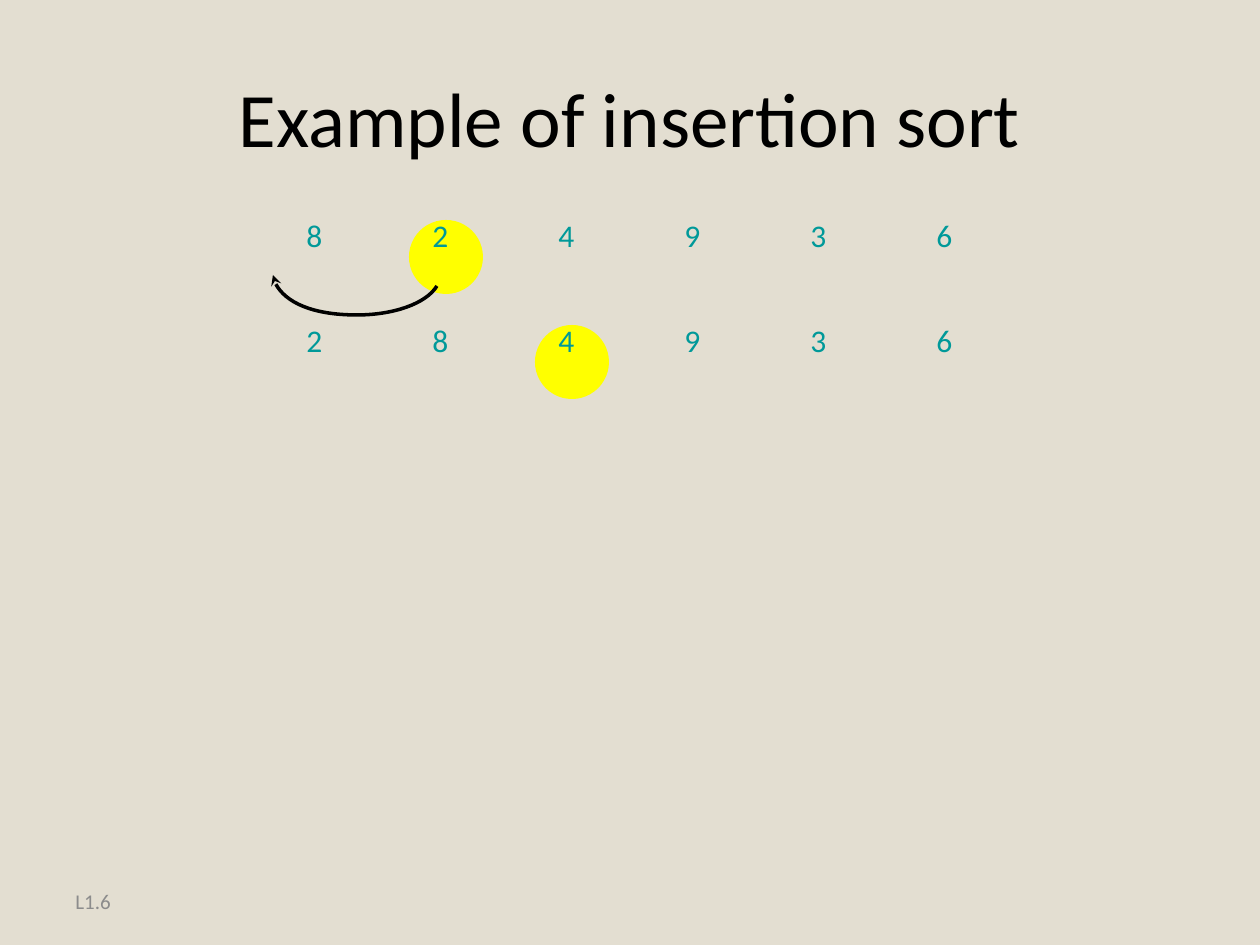
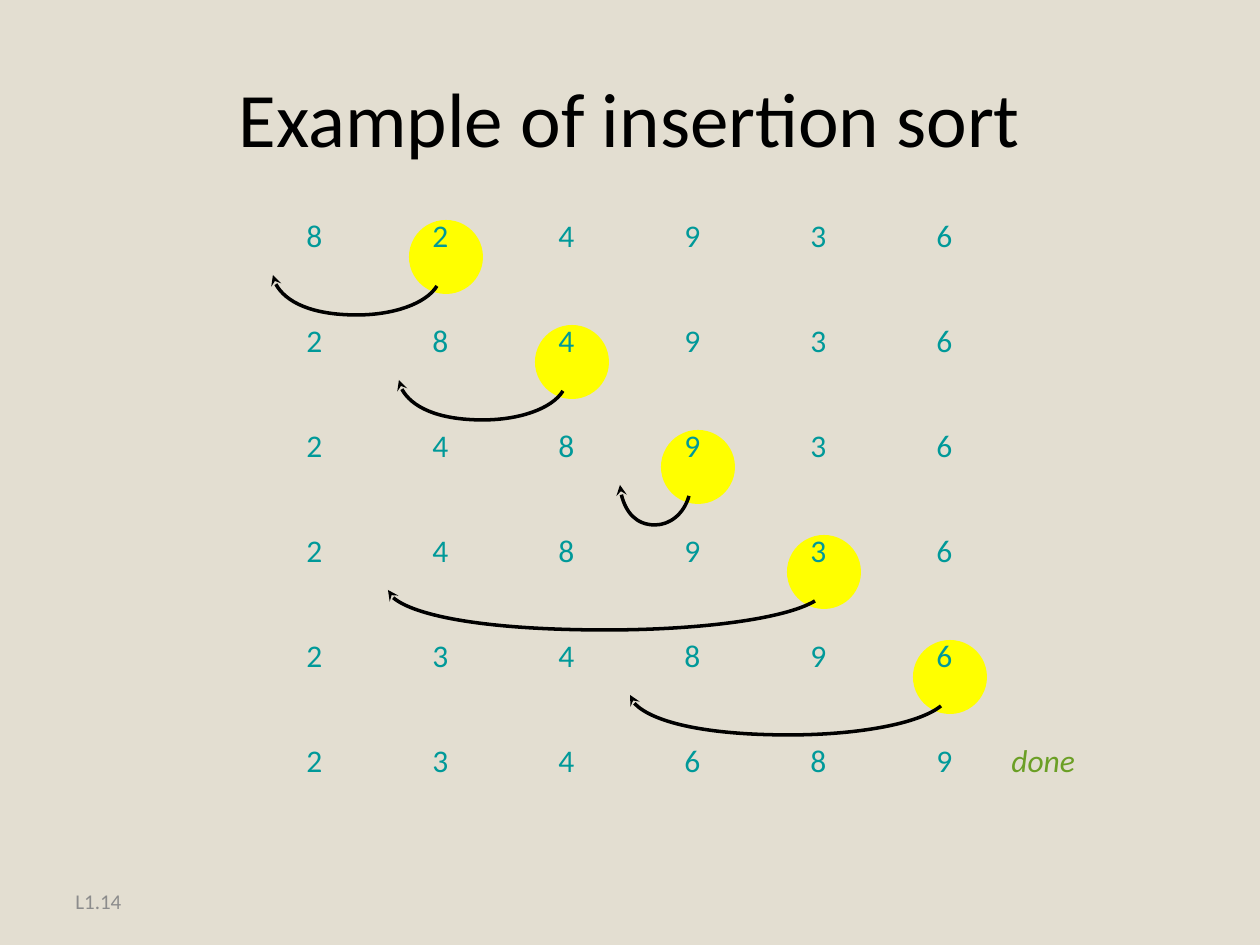
from lxml.etree import SubElement
from pptx import Presentation
from pptx.dml.color import RGBColor
from pptx.enum.shapes import MSO_SHAPE
from pptx.enum.text import MSO_ANCHOR, MSO_AUTO_SIZE, PP_ALIGN
from pptx.oxml.ns import qn
from pptx.util import Emu, Pt

EMU_PER_PX = 914400 / 126
COLORS = {
    "background": "E3DED1",
    "title": "000000",
    "footer": "8C8C8C",
    "digit": "009999",
    "key": "FFFF00",
    "arrow": "000000",
    "done": "6B9F25",
}
FONT = "Calibri"

GRID_LEFT, GRID_TOP = 294, 210
COLUMN_STEP, ROW_STEP = 126, 105
CELL_WIDTH, CELL_HEIGHT = 53, 79
KEY_SIZE = 74

# Digits, column of the key being inserted, left end of its arrow
SORT_STEPS = [
    ("824936", 1, 273),
    ("284936", 2, 399),
    ("248936", 3, 620),
    ("248936", 4, 388),
    ("234896", 5, 630),
    ("234689", None, None),
]
# Points of two joined Bezier curves: share of arrow width, px below row top
ARROW_CURVE = [(1, 76), (0.93, 94), (0.73, 105), (0.51, 105),
               (0.23, 105), (0.01, 87), (0, 65)]
SLIDES = [("L1.6", 2), ("L1.14", 6)]


def px(*lengths):
    return [Emu(round(length * EMU_PER_PX)) for length in lengths]


def add_text(slide, text, box, size, color, italic=None, grow=False):
    shape = slide.shapes.add_textbox(*px(*box))
    frame = shape.text_frame
    frame.word_wrap = not grow
    if grow:
        frame.auto_size = MSO_AUTO_SIZE.SHAPE_TO_FIT_TEXT
    else:
        frame.vertical_anchor = MSO_ANCHOR.MIDDLE
    run = frame.paragraphs[0].add_run()
    run.text = text
    run.font.name = FONT
    run.font.size = Pt(size)
    run.font.italic = italic
    run.font.color.rgb = RGBColor.from_string(COLORS[color])
    return frame.paragraphs[0]


presentation = Presentation()
presentation.slide_width, presentation.slide_height = px(1260, 945)
background = presentation.slide_master.background.fill
background.solid()
background.fore_color.rgb = RGBColor.from_string(COLORS["background"])

for footer, row_count in SLIDES:
    slide = presentation.slides.add_slide(presentation.slide_layouts[6])
    add_text(slide, footer, (63, 876, 294, 50), 12, "footer")
    title = add_text(slide, "Example of insertion sort", (63, 38, 1134, 158), 44, "title")
    title.alignment = PP_ALIGN.CENTER

    for row, (digits, key_column, arrow_left) in enumerate(SORT_STEPS[:row_count]):
        top = GRID_TOP + row * ROW_STEP

        if key_column is not None:
            key_left = GRID_LEFT + key_column * COLUMN_STEP
            key = slide.shapes.add_shape(
                MSO_SHAPE.OVAL, *px(key_left - 11, top + 10, KEY_SIZE, KEY_SIZE))
            key.shadow.inherit = False
            key.fill.solid()
            key.fill.fore_color.rgb = RGBColor.from_string(COLORS["key"])
            key.line.fill.background()

        for column, digit in enumerate(digits):
            left = GRID_LEFT + column * COLUMN_STEP
            add_text(slide, digit, (left, top, CELL_WIDTH, CELL_HEIGHT), 18, "digit", grow=True)

        if key_column is None:
            add_text(slide, "done", (999, top, 135, CELL_HEIGHT), 18, "done",
                     italic=True, grow=True)
        elif row < row_count - 1:
            width = key_left + 17 - arrow_left
            points = [(round(arrow_left + share * width), top + drop)
                      for share, drop in ARROW_CURVE]
            builder = slide.shapes.build_freeform(*points[0], scale=EMU_PER_PX)
            builder.add_line_segments(points[1:], close=False)
            arrow = builder.convert_to_shape()
            arrow.shadow.inherit = False
            arrow.fill.background()
            arrow.line.color.rgb = RGBColor.from_string(COLORS["arrow"])
            arrow.line.width = Pt(2)
            SubElement(arrow.line._get_or_add_ln(), qn("a:tailEnd"), type="stealth")

            # Regroup the straight segments as cubic curves, three points each
            curve_path = next(arrow._element.iter(qn("a:path")))
            segments = curve_path.findall(qn("a:lnTo"))
            for start in range(0, len(segments), 3):
                curve = SubElement(curve_path, qn("a:cubicBezTo"))
                for segment in segments[start:start + 3]:
                    curve.append(segment[0])
                    curve_path.remove(segment)

presentation.save("out.pptx")
